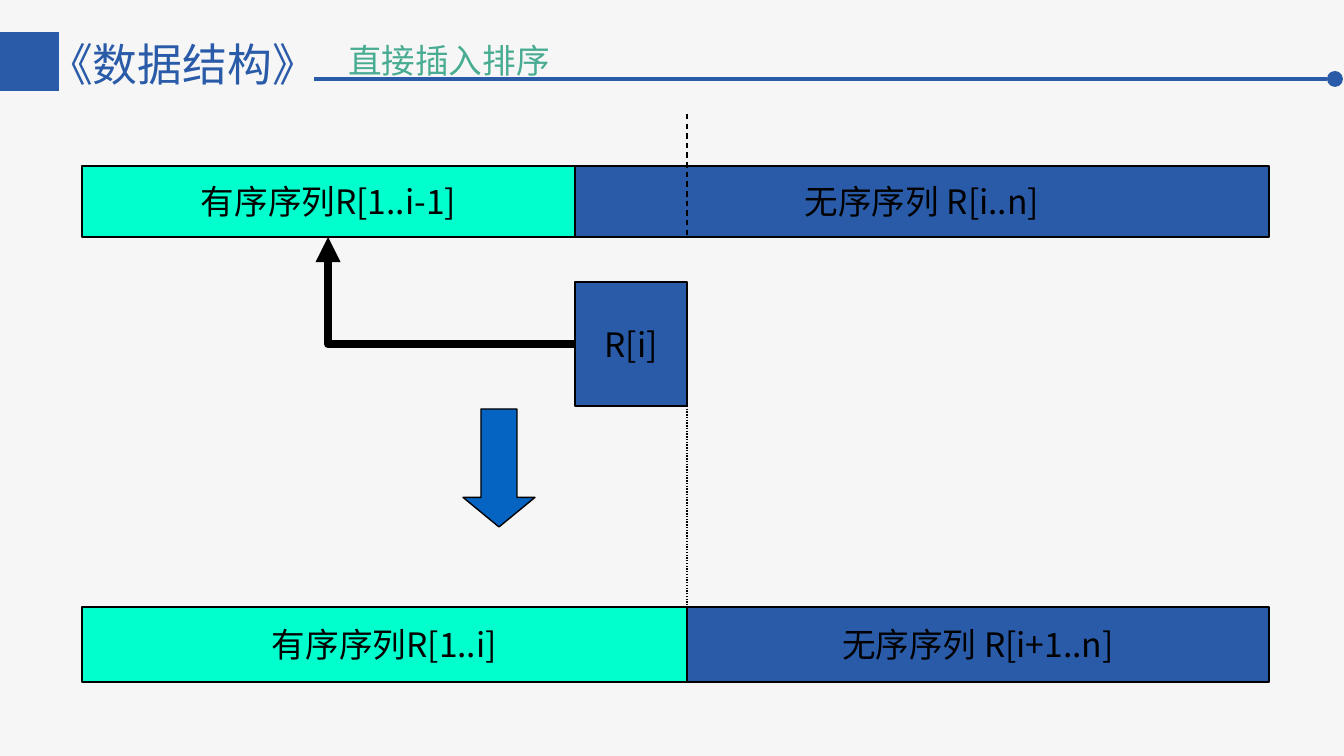
"""Build a slide on one step of straight insertion sort."""
from dataclasses import dataclass

import pptx
import pptx.dml.color
import pptx.enum.dml
import pptx.enum.shapes
import pptx.enum.text
import pptx.oxml
import pptx.oxml.ns
import pptx.util

SHAPE = pptx.enum.shapes.MSO_SHAPE
LINK = pptx.enum.shapes.MSO_CONNECTOR
DASH = pptx.enum.dml.MSO_LINE
ALIGN = pptx.enum.text.PP_ALIGN
ANCHOR = pptx.enum.text.MSO_ANCHOR
FIT = pptx.enum.text.MSO_AUTO_SIZE


@dataclass(frozen=True)
class Theme:
    back: str = "F6F6F6"
    blue: str = "2A5BA8"
    mint: str = "00FFCC"
    green: str = "48AC92"
    arrow: str = "0563C1"
    black: str = "000000"
    font: str = "Noto Sans CJK JP"
    head: int = 24
    body: int = 18
    thin: float = 0.75
    rule: float = 1.75
    thick: float = 4.5


THEME = Theme()


def px(count):
    return pptx.util.Emu(round(count * 914400 / 134.4))


def rgb(code):
    return pptx.dml.color.RGBColor.from_string(code)


def add_xml(parent, tag):
    node = pptx.oxml.parse_xml(f"<{tag} {pptx.oxml.ns.nsdecls('a')}/>")
    parent.append(node)
    return node


def add_run(para, text, size, color):
    run = para.add_run()
    run.text = text
    run.font.size = pptx.util.Pt(size)
    run.font.name = THEME.font
    run.font.color.rgb = rgb(color)
    add_xml(run.font._element, "a:ea").set("typeface", THEME.font)


def add_title(slide, text, left, top, width, height):
    title = slide.shapes.title
    title.left, title.top = px(left), px(top)
    title.width, title.height = px(width), px(height)
    frame = title.text_frame
    frame.word_wrap = True
    frame.auto_size = FIT.NONE
    frame.vertical_anchor = ANCHOR.TOP
    frame.margin_left = frame.margin_right = px(9)
    frame.margin_top = frame.margin_bottom = px(5)
    para = frame.paragraphs[0]
    para.alignment = ALIGN.LEFT
    add_run(para, text, THEME.body, THEME.green)


def add_course(slide, text, left, top, width, height):
    box = slide.shapes.add_textbox(px(left), px(top), px(width), px(height))
    box.text_frame.word_wrap = True
    box.text_frame.auto_size = FIT.SHAPE_TO_FIT_TEXT
    add_run(box.text_frame.paragraphs[0], text, THEME.head, THEME.blue)


def add_form(slide, kind, left, top, width, height, fill, edge=None):
    form = slide.shapes.add_shape(kind, px(left), px(top), px(width), px(height))
    form.shadow.inherit = False
    form.fill.solid()
    form.fill.fore_color.rgb = rgb(fill)
    if edge:
        form.line.color.rgb = rgb(edge)
        form.line.width = pptx.util.Pt(THEME.thin)
    else:
        form.line.fill.background()
    return form


def add_block(slide, text, left, top, right, low, fill):
    block = add_form(slide, SHAPE.RECTANGLE, left, top, right - left, low - top,
                     fill, THEME.black)
    frame = block.text_frame
    frame.word_wrap = False
    frame.vertical_anchor = ANCHOR.MIDDLE
    para = frame.paragraphs[0]
    para.alignment = ALIGN.CENTER
    add_run(para, text, THEME.body, THEME.black)


def add_line(slide, start, end, color, width, dash=None, kind=LINK.STRAIGHT):
    line = slide.shapes.add_connector(kind, *map(px, start + end))
    line.line.color.rgb = rgb(color)
    line.line.width = pptx.util.Pt(width)
    if dash:
        line.line.dash_style = dash
    add_xml(line._element.spPr, "a:effectLst")
    return line


def add_bend(slide, start, end):
    bend = add_line(slide, end, start, THEME.black, THEME.thick, kind=LINK.ELBOW)
    bend._element.spPr.prstGeom.set("prst", "bentConnector2")
    bend.rotation = 180
    bend._element.spPr.xfrm.set("rot", "10800000")
    add_xml(bend.line._get_or_add_ln(), "a:tailEnd").set("type", "triangle")


def add_bar(slide, top, low, split, done, rest):
    left, right = 82, 1269
    add_block(slide, done, left, top, split, low, THEME.mint)
    add_block(slide, rest, split, top, right, low, THEME.blue)


def main():
    deck = pptx.Presentation()
    deck.slide_width, deck.slide_height = px(1344), px(756)
    slide = deck.slides.add_slide(deck.slide_layouts[5])
    slide.background.fill.solid()
    slide.background.fill.fore_color.rgb = rgb(THEME.back)

    add_title(slide, "直接插入排序", 339, 35, 412, 52)
    add_course(slide, "《数据结构》", 35, 30, 304, 67)
    add_form(slide, SHAPE.RECTANGLE, 0, 32, 59, 59, THEME.blue)
    add_line(slide, (314, 79), (1327, 79), THEME.blue, THEME.rule)
    add_form(slide, SHAPE.OVAL, 1327, 71, 16, 16, THEME.blue)

    old, new = 575, 687
    add_bar(slide, 166, 237, old, "有序序列R[1..i-1]", "无序序列 R[i..n]")
    add_block(slide, "R[i]", old, 282, new, 406, THEME.blue)
    add_bar(slide, 607, 682, new, "有序序列R[1..i]", "无序序列 R[i+1..n]")

    add_bend(slide, (old, 344), (328, 237))
    arrow = add_form(slide, SHAPE.DOWN_ARROW, 463, 409, 72, 118,
                     THEME.arrow, THEME.black)
    arrow.adjustments[0] = 0.5
    arrow.adjustments[1] = 0.41
    add_line(slide, (new, 114), (new, 237), THEME.black, THEME.thin, DASH.DASH)
    add_line(slide, (new, 406), (new, 607), THEME.black, THEME.thin,
             DASH.ROUND_DOT)
    deck.save("out.pptx")


if __name__ == "__main__":
    main()
